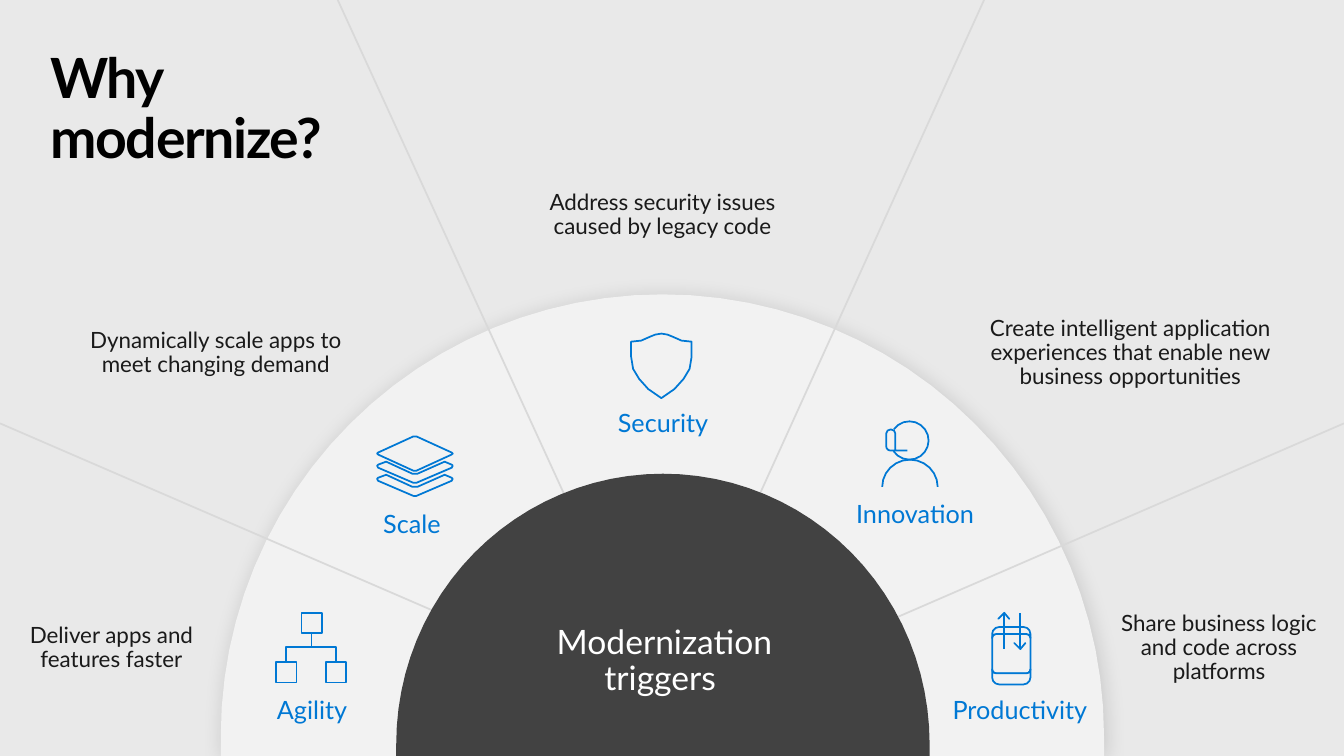
from math import cos, radians, sin

from lxml.etree import SubElement
from pptx import Presentation
from pptx.dml.color import RGBColor
from pptx.enum.shapes import MSO_CONNECTOR as Connector
from pptx.enum.text import MSO_ANCHOR as Anchor, MSO_AUTO_SIZE as AutoSize, PP_ALIGN as Align
from pptx.oxml.ns import qn
from pptx.util import Inches, Pt

WIDTH, HEIGHT = 13.33, 7.5
BLUE, PALE, DARK, INK, GREY = "0078D4", "F2F2F2", "424242", "1A1A1A", "D9D9D9"


def paint(color_format, color):
    """Set a fill, line or font colour from a hex string."""
    color_format.rgb = RGBColor.from_string(color)


def arc(x, y, across, down, start, end, steps=3):
    """Return points on an ellipse between two clockwise angles."""
    angles = [radians(start + (end - start) * step / steps) for step in range(steps + 1)]
    return [(x + across * cos(angle), y + down * sin(angle)) for angle in angles]


def add_outline(parent, contours, left=0, top=0, fill=None, line=BLUE, close=True):
    """Draw contours, given relative to a corner, as one freeform."""
    paths = [[(Inches(left + x), Inches(top + y)) for x, y in contour] for contour in contours]
    builder = parent.shapes.build_freeform(*paths[0][0], scale=1.0)
    for index, path in enumerate(paths):
        if index:
            builder.move_to(*path[0])
        builder.add_line_segments(path[1:], close=close)
    shape = builder.convert_to_shape()
    shape.shadow.inherit = False
    if fill:
        shape.fill.solid()
        paint(shape.fill.fore_color, fill)
    else:
        shape.fill.background()
    if line:
        paint(shape.line.color, line)
        shape.line.width = Pt(1.25)
    else:
        shape.line.fill.background()
    return shape


def format_text(frame, text, size, color, align, after=0):
    """Fill a text frame with one paragraph and format it."""
    frame.text = text
    para = frame.paragraphs[0]
    para.alignment = align
    para.line_spacing = 0.9
    para.space_after = Pt(after)
    for span in para.runs:
        span.font.name = "Lato"
        span.font.size = Pt(size)
        paint(span.font.color, color)


def add_text(parent, box, text, size, color, anchor=Anchor.TOP, after=8):
    """Add a centred text box that grows with its text."""
    frame = parent.shapes.add_textbox(*map(Inches, box)).text_frame
    frame.word_wrap = True
    frame.auto_size = AutoSize.SHAPE_TO_FIT_TEXT
    frame.vertical_anchor = anchor
    frame.margin_left = Inches(0.2)
    format_text(frame, text, size, color, Align.CENTER, after)
    return frame


def draw_tree(parent, left, top):
    """Draw three linked boxes."""
    squares = [[(x, y), (x + 0.2, y), (x + 0.2, y + 0.2), (x, y + 0.2), (x, y)]
               for x, y in ((0, 0.49), (0.49, 0.49), (0.25, 0))]
    links = [[(0.35, 0.2), (0.35, 0.34)],
             [(0.59, 0.49), (0.59, 0.34), (0.1, 0.34), (0.1, 0.49)]]
    add_outline(parent, squares + links, left, top, close=False)


def draw_layers(parent, left, top):
    """Draw a stack of three sheets."""
    sheet = [(0.36, 0), (0.39, 0), (0.74, 0.16), (0.75, 0.17), (0.74, 0.18), (0.39, 0.34),
             (0.36, 0.34), (0.01, 0.18), (0, 0.17), (0.01, 0.16)]
    edge = [(0.09, 0), (0.35, 0.12), (0.4, 0.12), (0.67, 0), (0.74, 0.03), (0.75, 0.04),
            (0.74, 0.06), (0.39, 0.21), (0.36, 0.21), (0.01, 0.06), (0, 0.04), (0.01, 0.03)]
    for contour, drop in ((sheet, 0), (edge, 0.38), (edge, 0.25)):
        add_outline(parent, [contour], left, top + drop, PALE)


def draw_shield(parent, left, top):
    """Draw a shield, mirrored about its middle."""
    half = [(0.3, 0), (0.36, 0.01), (0.41, 0.03), (0.5, 0.07), (0.6, 0.08), (0.6, 0.23),
            (0.58, 0.35), (0.52, 0.45), (0.43, 0.55), (0.3, 0.64)]
    mirrored = [(0.6 - x, y) for x, y in reversed(half)]
    add_outline(parent, [half + mirrored[1:-1]], left, top)


def draw_person(parent, left, top):
    """Draw a person wearing a headset."""
    shoulders = arc(0.275, 0.65, 0.275, 0.27, 180, 360, 12)
    head = arc(0.27, 0.19, 0.19, 0.19, 216, 506, 16)
    visor = ([(0.13, 0.29)] + arc(0.085, 0.12, 0.045, 0.04, 360, 180, 4)
             + arc(0.08, 0.25, 0.04, 0.04, 180, 90) + [(0.25, 0.29)])
    add_outline(parent, [shoulders, head, visor], left, top, close=False)


def phone_cap(edge, tip, way):
    """Return the phone's end between the screen edge and the tip."""
    inner, outer = edge + way * 0.04, tip + way * 0.07
    return (arc(0.04, inner, 0.04, way * 0.04, 180, 270)
            + arc(0.34, inner, 0.04, way * 0.04, 270, 360)
            + arc(0.31, outer, 0.07, way * 0.07, 360, 270)
            + arc(0.07, outer, 0.07, way * 0.07, 270, 180))


def draw_phone(parent, left, top):
    """Draw a phone with arrows going up and down."""
    screen = (arc(0.04, 0.25, 0.04, 0.04, 180, 270) + arc(0.34, 0.25, 0.04, 0.04, 270, 360)
              + arc(0.34, 0.56, 0.04, 0.04, 0, 90) + arc(0.04, 0.56, 0.04, 0.04, 90, 180))
    parts = [screen, [(0.17, 0.65), (0.23, 0.65)],
             phone_cap(0.6, 0.71, -1), phone_cap(0.21, 0.14, 1),
             [(0.12, 0), (0.12, 0.36)], [(0.28, 0.36), (0.28, 0)],
             [(0.17, 0.06), (0.12, 0), (0.06, 0.06), (0.12, 0)],
             [(0.22, 0.3), (0.28, 0.36), (0.33, 0.3), (0.28, 0.36)]]
    for part in parts:
        add_outline(parent, [part], left, top, PALE)


def add_title(page, box, text):
    """Fill and place the title placeholder."""
    title = page.shapes.title
    title.left, title.top, title.width, title.height = map(Inches, box)
    frame = title.text_frame
    format_text(frame, text, 39.6, "000000", Align.LEFT)
    frame.auto_size = AutoSize.NONE
    frame.vertical_anchor = Anchor.TOP
    frame.margin_left = frame.margin_top = frame.margin_right = frame.margin_bottom = 0
    for span in frame.paragraphs[0].runs:
        span.font.bold = True
        span.font._element.set("spc", "-100")


def add_dome(page, x, y, across, down, color):
    """Draw an arch that runs down to the foot of the slide."""
    contour = [(x - across, HEIGHT), *arc(x, y, across, down, 180, 360, 48), (x + across, HEIGHT)]
    return add_outline(page, [contour], fill=color, line=None)


def add_wheel(page):
    """Draw the ring, its dividers and the hub."""
    ring = add_dome(page, 6.57, 7.3, 4.38, 4.38, PALE)
    effects = ring._element.spPr.find(qn("a:effectLst"))
    shadow = SubElement(effects, qn("a:outerShdw"), blurRad=str(Pt(15)), dist=str(Pt(3)),
                        dir="2700000", algn="ctr", rotWithShape="0")
    tint = SubElement(shadow, qn("a:srgbClr"), val="000000")
    SubElement(tint, qn("a:alpha"), val="15000")
    for ends in ((0, 4.2, 6.75, 7.12), (WIDTH, 4.2, 6.37, 7.22),
                 (9.76, 0, 6.57, 7.03), (3.35, 0, 6.57, 7.03)):
        divider = page.shapes.add_connector(Connector.STRAIGHT, *map(Inches, ends))
        paint(divider.line.color, GREY)
        divider.line.width = Pt(1.25)
        SubElement(divider._element.spPr, qn("a:effectLst"))
    add_dome(page, 6.575, 7.38, 2.645, 2.68, DARK)
    hub = add_text(page, (5.15, 6.01, 2.88, 1.11), "Modernization triggers ", 24, "FFFFFF",
                   Anchor.MIDDLE, 0)
    hub.auto_size = AutoSize.NONE
    hub.margin_left = Inches(0.1)


def add_trigger(page, draw_icon, icon_spot, name, name_spot, note, box, anchor, after=8):
    """Place the note of one sector and its grouped icon and name."""
    add_text(page, box, note, 16, INK, anchor, after)
    group = page.shapes.add_group_shape()
    draw_icon(group, *icon_spot)
    add_text(group, (*name_spot, 2.27, 0.37), name, 18, BLUE)


def main():
    """Build and save the slide."""
    deck = Presentation()
    deck.slide_width, deck.slide_height = Inches(WIDTH), Inches(HEIGHT)
    page = deck.slides.add_slide(deck.slide_layouts[5])
    page.background.fill.solid()
    paint(page.background.fill.fore_color, "E9E9E9")
    add_title(page, (0.5, 0.5, 12.33, 0.65), "Why\vmodernize?")
    add_wheel(page)
    add_trigger(page, draw_tree, (2.74, 6.08), "Agility", (1.91, 6.87),
                "Deliver apps and features faster", (-0.08, 6.14, 2.27, 0.59), Anchor.TOP)
    add_trigger(page, draw_layers, (3.74, 4.33), "Scale", (2.9, 5.03),
                "Dynamically scale apps to\vmeet changing demand",
                (-0.02, 3.21, 4.22, 0.59), Anchor.MIDDLE)
    add_trigger(page, draw_shield, (6.26, 3.31), "Security", (5.39, 4.03),
                "Address security issues caused by legacy code",
                (4.91, 1.84, 3.22, 0.59), Anchor.MIDDLE)
    add_trigger(page, draw_person, (8.75, 4.18), "Innovation", (7.89, 4.93),
                "Create intelligent application experiences that enable new business opportunities",
                (9.32, 3.09, 3.68, 0.83), Anchor.MIDDLE, 0)
    add_trigger(page, draw_phone, (9.84, 6.08), "Productivity", (8.93, 6.87),
                "Share business logic and code across platforms",
                (10.82, 6.02, 2.44, 0.83), Anchor.TOP)
    deck.save("out.pptx")


main() if __name__ == "__main__" else None
